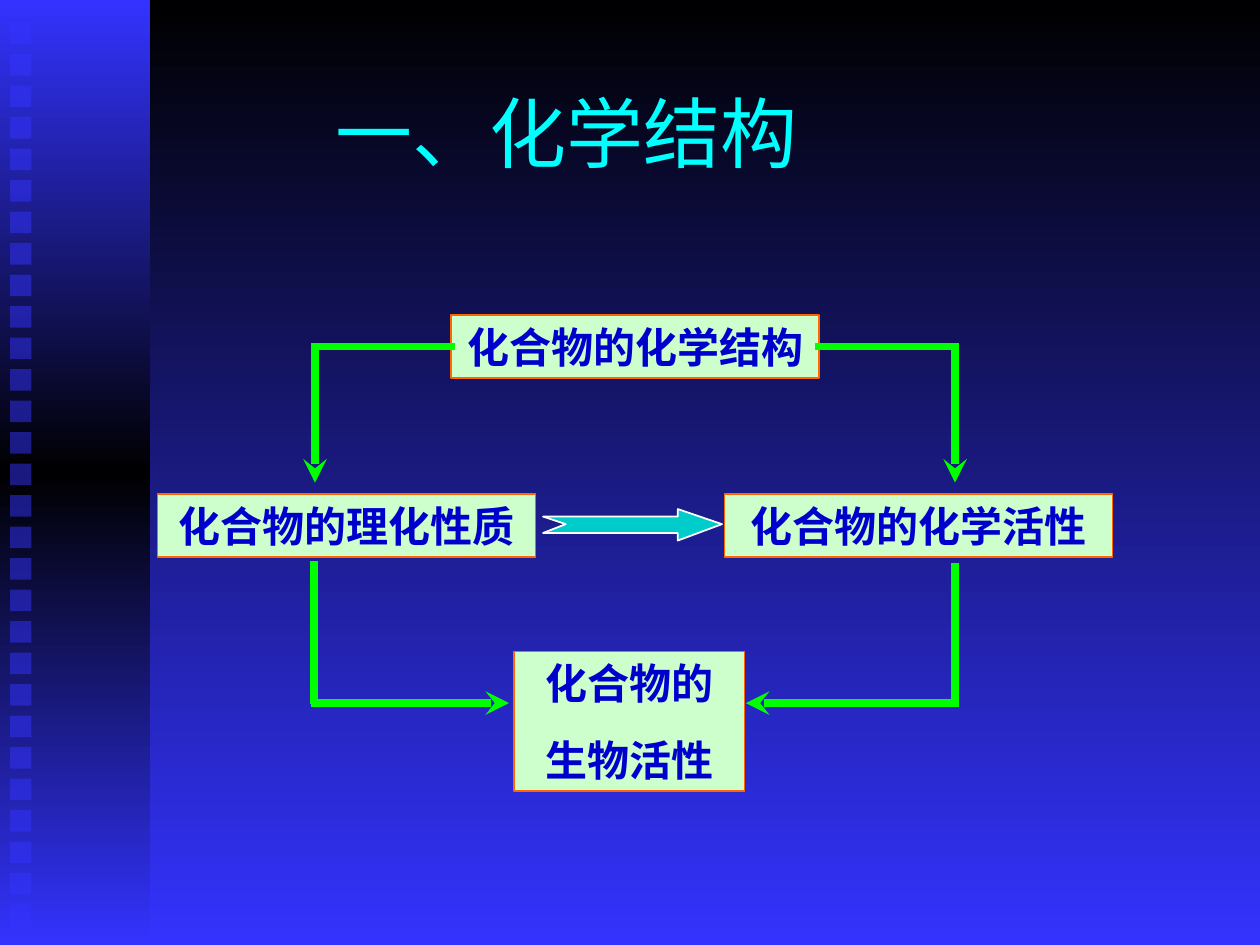
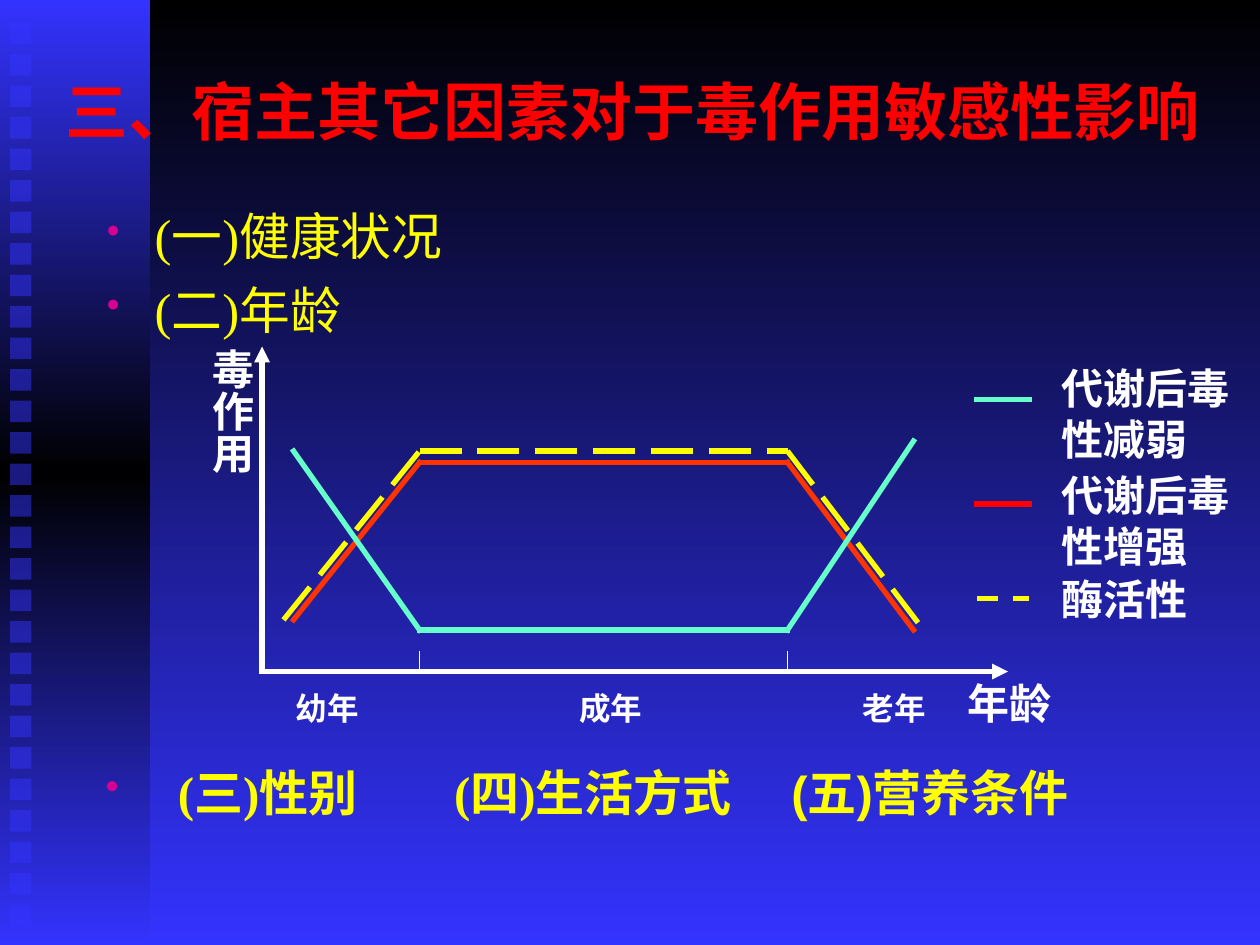
import copy
from dataclasses import dataclass

import lxml.etree
import pptx
import pptx.dml.color
import pptx.enum.dml
import pptx.enum.shapes
import pptx.enum.text
import pptx.oxml.ns
import pptx.util

Inches = pptx.util.Inches
Pt = pptx.util.Pt
qn = pptx.oxml.ns.qn
ALIGN = pptx.enum.text.PP_ALIGN
ANCHOR = pptx.enum.text.MSO_ANCHOR
DASH = pptx.enum.dml.MSO_LINE
RECTANGLE = pptx.enum.shapes.MSO_SHAPE.RECTANGLE
STRAIGHT = pptx.enum.shapes.MSO_CONNECTOR.STRAIGHT


@dataclass(frozen=True)
class Theme:
    black: str = "000000"
    blue: str = "3333FF"
    cyan: str = "00FFFF"
    red: str = "FF0000"
    white: str = "FFFFFF"
    yellow: str = "FFFF00"
    bullet: str = "D60093"
    box: str = "CCFFCC"
    box_edge: str = "FF6600"
    box_text: str = "0000CC"
    route: str = "00FF00"
    arrow: str = "00CCCC"
    enhanced: str = "FF3300"
    weakened: str = "66FFCC"
    serif: str = "Times New Roman"
    sans: str = "Arial"
    cjk: str = "Noto Sans CJK SC"
    title: int = 44
    long_title: int = 36
    topic: int = 29
    more_topic: int = 28
    label: int = 24
    stage: int = 18


THEME = Theme()

STRUCTURE_TITLE = "一、化学结构"
STRUCTURE_BOXES = {
    "structure": ("化合物的化学结构", (3.58, 2.5, 2.92, 0.5)),
    "properties": ("化合物的理化性质", (1.25, 3.92, 3, 0.5)),
    "reactivity": ("化合物的化学活性", (5.75, 3.92, 3.08, 0.5)),
    "bioactivity": ("化合物的\n生物活性", (4.08, 5.17, 1.83, 1.11)),
}
LEFT_ROUTE, RIGHT_ROUTE = 2.5, 7.58
TOP_ROUTE, BOTTOM_ROUTE = 2.75, 5.58
ROUTES = [
    ((LEFT_ROUTE, TOP_ROUTE), (LEFT_ROUTE, 3.83), "stealth"),
    ((RIGHT_ROUTE, BOTTOM_ROUTE), (5.92, BOTTOM_ROUTE), "stealth"),
    ((RIGHT_ROUTE, 4.5), (RIGHT_ROUTE, BOTTOM_ROUTE), None),
    ((LEFT_ROUTE, BOTTOM_ROUTE), (4.04, BOTTOM_ROUTE), "stealth"),
    ((2.49, 5.56), (2.49, 4.48), None),
    ((RIGHT_ROUTE, TOP_ROUTE), (RIGHT_ROUTE, 3.83), "stealth"),
]
STRUCTURE_EXITS = [(LEFT_ROUTE, 3.58, 1), (RIGHT_ROUTE, 6.5, 3)]
NOTCHED_ARROW = [(4.31, 4.1), (5.38, 4.1), (5.38, 4.04), (5.73, 4.16),
                 (5.38, 4.29), (5.38, 4.23), (4.31, 4.23), (4.49, 4.16)]

HOST_TITLE = "三、宿主其它因素对于毒作用敏感性影响"
HOST_TOPICS = "(一)健康状况\n(二)年龄"
MORE_TOPICS = [
    (7, "(三)性别", THEME.serif),
    (49, "(四)生活方式", THEME.serif),
    (28, "(五)营养条件", THEME.sans),
]
ORIGIN = (2.08, 5.33)
AXIS_ENDS = [(2.08, 2.75), (8, 5.33)]
ADULT_START, ADULT_END = 3.33, 6.25
CURVES = [
    (THEME.enhanced, None,
     [(2.33, 4.92), (ADULT_START, 3.67), (ADULT_END, 3.67), (7.25, 5)]),
    (THEME.yellow, DASH.LONG_DASH,
     [(2.25, 4.92), (ADULT_START, 3.58), (ADULT_END, 3.58), (7.33, 5)]),
    (THEME.weakened, None,
     [(2.33, 3.58), (ADULT_START, 5), (ADULT_END, 5), (7.25, 3.5)]),
]
LEGEND = [
    ("代谢后毒性减弱", THEME.weakened, None, 3.17, (8.33, 2.83, 1.67, 0.9)),
    ("代谢后毒性增强", THEME.red, None, 4, (8.33, 3.68, 1.67, 0.9)),
    ("酶活性", THEME.yellow, DASH.DASH, 4.75, (8.33, 4.5, 1.58, 0.5)),
]
STAGES = [("幼年", 2.25), ("成年", 4.5), ("老年", 6.75)]


def rgb(color):
    return pptx.dml.color.RGBColor.from_string(color)


def paint_gradient(fill, colors):
    fill.gradient()
    fill.gradient_angle = 270
    stop_list = fill._xPr.find(qn("a:gradFill")).find(qn("a:gsLst"))
    while len(stop_list) < len(colors):
        stop_list.append(copy.deepcopy(stop_list[0]))
    for i, (stop, color) in enumerate(zip(fill.gradient_stops, colors)):
        stop.position = i / (len(colors) - 1)
        stop.color.rgb = rgb(color)


def add_box(slide, place, color=None, edge=None):
    box = slide.shapes.add_shape(RECTANGLE, *map(Inches, place))
    box.shadow.inherit = False
    if color:
        box.fill.solid()
        box.fill.fore_color.rgb = rgb(color)
    if edge:
        box.line.color.rgb = rgb(edge)
        box.line.width = Pt(1)
    else:
        box.line.fill.background()
    return box


def style_run(run, size, color, bold, font):
    run.font.size = Pt(size)
    run.font.bold = bold
    run.font.color.rgb = rgb(color)
    run.font.name = font
    east_asian = lxml.etree.Element(qn("a:ea"), typeface=THEME.cjk)
    run.font._element.find(qn("a:latin")).addnext(east_asian)


def write(shape, text, size, color, bold=True, font=THEME.serif,
          align=ALIGN.LEFT, anchor=ANCHOR.TOP, before=0):
    frame = shape.text_frame
    frame.word_wrap = True
    frame.vertical_anchor = anchor
    frame.text = text
    for paragraph in frame.paragraphs:
        paragraph.alignment = align
        paragraph.space_before = Pt(before)
        for run in paragraph.runs:
            style_run(run, size, color, bold, font)
    return frame


def add_text(slide, place, *content, **style):
    return write(slide.shapes.add_textbox(*map(Inches, place)), *content, **style)


def add_bullet(paragraph, percent):
    props = paragraph._p.get_or_add_pPr()
    props.set("marL", str(Inches(0.38)))
    props.set("indent", str(-Inches(0.38)))
    bullet_color = lxml.etree.SubElement(props, qn("a:buClr"))
    lxml.etree.SubElement(bullet_color, qn("a:srgbClr"), val=THEME.bullet)
    lxml.etree.SubElement(props, qn("a:buSzPct"), val=str(percent * 1000))
    lxml.etree.SubElement(props, qn("a:buChar"), char="•")


def add_line(slide, start, end, color, width, dash=None, head=None):
    line = slide.shapes.add_connector(STRAIGHT, *map(Inches, start + end))
    line.line.color.rgb = rgb(color)
    line.line.width = Pt(width)
    outline = line.line._get_or_add_ln()
    if dash:
        line.line.dash_style = dash
    else:
        outline.set("cap", "sq")
    if head:
        lxml.etree.SubElement(outline, qn("a:tailEnd"), type=head)
    lxml.etree.SubElement(line._element.spPr, qn("a:effectLst"))
    return line


def start_slide(prs):
    slide = prs.slides.add_slide(prs.slide_layouts[6])
    band = add_box(slide, (0, 0, 1.19, 7.5))
    paint_gradient(band.fill, [THEME.blue, THEME.black, THEME.blue])
    for i in range(29):
        square = add_box(slide, (0.08, 0.18 + 0.25 * i, 0.17, 0.17), THEME.blue)
        tint = square._element.spPr.find(qn("a:solidFill"))[0]
        lxml.etree.SubElement(tint, qn("a:alpha"), val="50000")
    return slide


def build_structure(prs):
    slide = start_slide(prs)
    add_text(slide, (0.25, 0.42, 8.5, 1.25), STRUCTURE_TITLE, THEME.title, THEME.cyan,
             bold=False, align=ALIGN.CENTER, anchor=ANCHOR.MIDDLE)
    boxes = {}
    for key, (text, place) in STRUCTURE_BOXES.items():
        boxes[key] = add_box(slide, place, THEME.box, THEME.box_edge)
        write(boxes[key], text, THEME.label, THEME.box_text, font=THEME.cjk,
              align=ALIGN.CENTER, before=15)

    points = [(Inches(x), Inches(y)) for x, y in NOTCHED_ARROW]
    outline = slide.shapes.build_freeform(*points[0])
    outline.add_line_segments(points[1:], close=True)
    arrow = outline.convert_to_shape()
    arrow.shadow.inherit = False
    arrow.fill.solid()
    arrow.fill.fore_color.rgb = rgb(THEME.arrow)
    arrow.line.color.rgb = rgb(THEME.white)
    arrow.line.width = Pt(1)

    for start, end, head in ROUTES:
        add_line(slide, start, end, THEME.route, 4.5, head=head)
    for corner, side, site in STRUCTURE_EXITS:
        exit_line = add_line(slide, (corner, TOP_ROUTE), (side, TOP_ROUTE),
                             THEME.route, 4.5)
        exit_line.end_connect(boxes["structure"], site)


def build_host_factors(prs):
    slide = start_slide(prs)
    add_text(slide, (0.42, 0.25, 9.25, 1.25), HOST_TITLE, THEME.long_title, THEME.red,
             font=THEME.cjk, anchor=ANCHOR.MIDDLE)
    topics = add_text(slide, (0.75, 1.58, 8.5, 1.17), HOST_TOPICS, THEME.topic,
                      THEME.yellow, bold=False, before=7.3)
    for paragraph in topics.paragraphs:
        add_bullet(paragraph, 75)

    more = add_text(slide, (0.74, 6, 8.53, 1), "", THEME.more_topic, THEME.yellow)
    line = more.paragraphs[0]
    add_bullet(line, 80)
    for gap, topic, font in MORE_TOPICS:
        for text, spacing in ((" ", gap), (topic, 0)):
            run = line.add_run()
            run.text = text
            style_run(run, THEME.more_topic, THEME.yellow, True, font)
            run.font._element.set("spc", str(spacing * 100))

    add_text(slide, (7.58, 5.33, 0.92, 0.5), "年龄", THEME.label, THEME.white)
    effect = add_text(slide, (1.49, 2.67, 0.6, 1.25), "毒作用", THEME.label, THEME.white)
    effect._txBody.bodyPr.set("vert", "eaVert")
    effect.margin_left = effect.margin_right = Inches(0.05)
    effect.margin_top = effect.margin_bottom = Inches(0.1)

    for end in AXIS_ENDS:
        add_line(slide, ORIGIN, end, THEME.white, 3, head="triangle")
    for color, dash, points in CURVES:
        for start, end in zip(points, points[1:]):
            add_line(slide, start, end, color, 3, dash)
    for text, color, dash, y, place in LEGEND:
        add_line(slide, (7.75, y), (8.17, y), color, 3, dash)
        add_text(slide, place, text, THEME.label, THEME.white)
    for x in (ADULT_START, ADULT_END):
        add_line(slide, (x, ORIGIN[1]), (x, 5.17), THEME.white, 1)
    for text, x in STAGES:
        add_text(slide, (x, 5.42, 0.83, 0.4), text, THEME.stage, THEME.white)


def main():
    prs = pptx.Presentation()
    prs.slide_width, prs.slide_height = Inches(10), Inches(7.5)
    paint_gradient(prs.slide_master.background.fill, [THEME.black, THEME.blue])
    build_structure(prs)
    build_host_factors(prs)
    prs.save("out.pptx")


if __name__ == "__main__":
    main()
